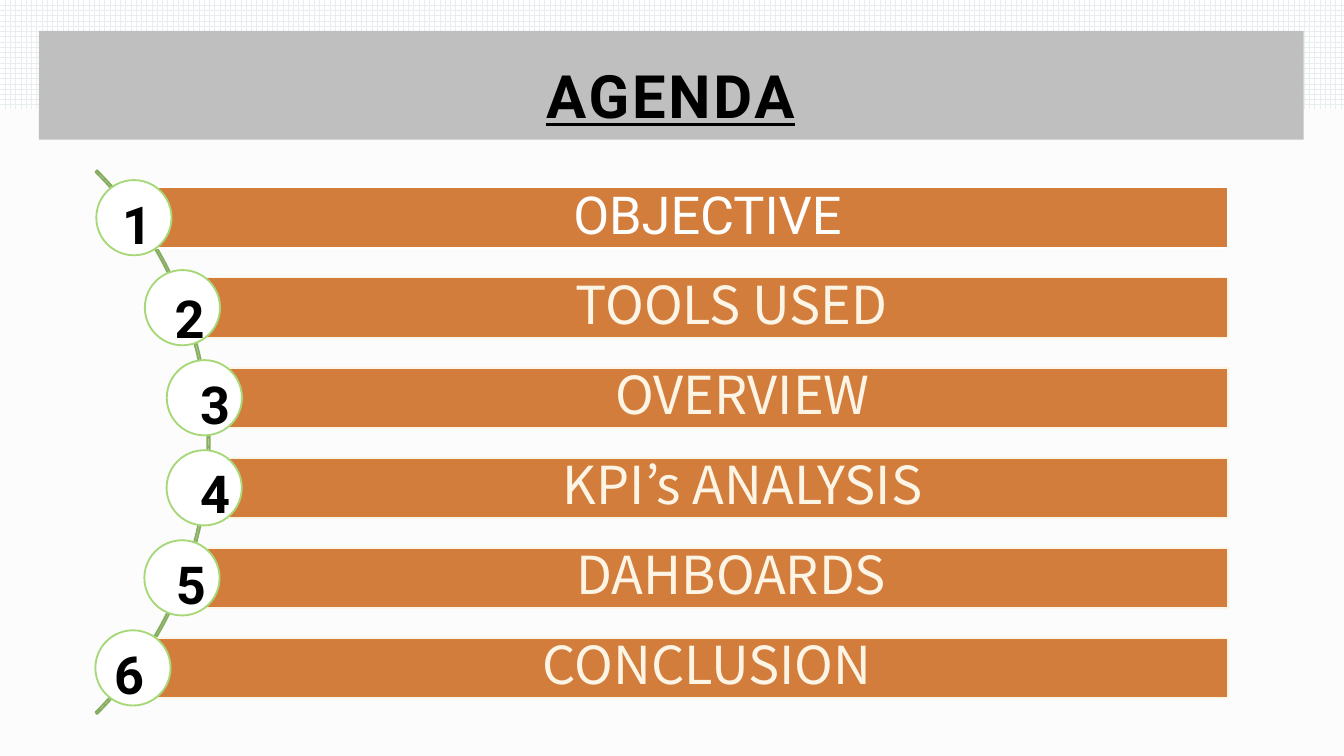
import math

import pptx
import pptx.dml.color
import pptx.enum.dml
import pptx.enum.shapes
import pptx.enum.text
import pptx.util

WIDTH = 10
HEIGHT = WIDTH * 9 / 16
COLOURS = {
    "background": "FCFCFC", "grid": "E8EEF0", "white": "FFFFFF",
    "banner": "BFBFBF", "black": "000000", "arc": "86AD60",
    "bar": "D37D3D", "cream": "FCF5E5", "ring": "A7D878",
}
LATIN, CJK = "Roboto", "Noto Sans CJK JP"
SHAPES = pptx.enum.shapes.MSO_SHAPE

# Rows of the list: evenly spaced, each starting on a circle round the arc centre
FIRST_ROW, LAST_ROW = 1.62, 4.97
BAR_HEIGHT, BAR_RIGHT, CIRCLE = 0.45, 9.14, 0.56
ARC_X, ARC_Y, ARC_RADIUS, ROW_RADIUS = -1.3, 3.29, 2.86, 2.84

# Label, font, colour, then left, top and width of the number's box
ITEMS = [
    ("OBJECTIVE", LATIN, "white", 0.81, 1.38, 0.28),
    ("TOOLS USED", CJK, "cream", 1.2, 2.08, 0.28),
    ("OVERVIEW", CJK, "cream", 1.39, 2.72, 0.28),
    ("KPI’s ANALYSIS", CJK, "cream", 1.39, 3.38, 0.28),
    ("DAHBOARDS", CJK, "cream", 1.21, 4.06, 0.28),
    ("CONCLUSION", CJK, "cream", 0.75, 4.73, 0.39),
]
ROW_STEP = (LAST_ROW - FIRST_ROW) / (len(ITEMS) - 1)


def colour(name):
    return pptx.dml.color.RGBColor.from_string(COLOURS[name])


def inches(*lengths):
    return [pptx.util.Inches(length) for length in lengths]


def add_shape(slide, kind, box, fill=None, line=None):
    shape = slide.shapes.add_shape(kind, *inches(*box))
    shape.shadow.inherit = False
    if fill:
        shape.fill.solid()
        shape.fill.fore_color.rgb = colour(fill)
    else:
        shape.fill.background()
    if line:
        shape.line.color.rgb = colour(line)
        shape.line.width = pptx.util.Pt(1)
    else:
        shape.line.fill.background()
    return shape


def set_text(shape, text, size, font_name, font_colour, bold=False):
    """Write one centred line and return its run."""
    frame = shape.text_frame
    frame.word_wrap = True
    frame.text = text
    paragraph = frame.paragraphs[0]
    paragraph.alignment = pptx.enum.text.PP_ALIGN.CENTER
    run = paragraph.runs[0]
    run.font.size = pptx.util.Pt(size)
    run.font.name = font_name
    run.font.bold = bold
    run.font.color.rgb = colour(font_colour)
    return run


def add_header(slide):
    # Grid strip behind the banner
    strip = add_shape(slide, SHAPES.RECTANGLE, (0, 0, WIDTH, 0.81))
    strip.fill.patterned()
    strip.fill.pattern = pptx.enum.dml.MSO_PATTERN.LARGE_GRID
    strip.fill.fore_color.rgb = colour("grid")
    strip.fill.back_color.rgb = colour("white")
    add_shape(slide, SHAPES.RECTANGLE, (0.29, 0.23, 9.41, 0.81), "banner")
    # Title
    title = slide.shapes.add_textbox(*inches(0.52, 0.4, 8.94, 0.48))
    title.text_frame.margin_top = pptx.util.Inches(0.04)
    run = set_text(title, "AGENDA", 32, LATIN, "black", bold=True)
    run.font.underline = True
    run.font._element.set("spc", "150")


def add_arc(slide):
    box = (ARC_X - ARC_RADIUS, ARC_Y - ARC_RADIUS, 2 * ARC_RADIUS, 2 * ARC_RADIUS)
    arc = add_shape(slide, SHAPES.BLOCK_ARC, box, line="arc")
    for index, value in enumerate((189, 27, 0.003)):
        arc.adjustments[index] = value


def add_item(slide, row, label, font_name, font_colour):
    middle = FIRST_ROW + row * ROW_STEP
    left = ARC_X + math.sqrt(ROW_RADIUS ** 2 - (middle - ARC_Y) ** 2)
    # Bar with its label
    bar = add_shape(slide, SHAPES.RECTANGLE,
                    (left, middle - BAR_HEIGHT / 2, BAR_RIGHT - left, BAR_HEIGHT),
                    "bar", font_colour)
    set_text(bar, label, 28, font_name, font_colour)
    frame = bar.text_frame
    frame.vertical_anchor = pptx.enum.text.MSO_ANCHOR.MIDDLE
    frame.margin_left, frame.margin_right, frame.margin_top, frame.margin_bottom = \
        inches(0.47, 0.08, 0.08, 0.08)
    frame.paragraphs[0].line_spacing = 0.9
    # Circle at the bar's start
    add_shape(slide, SHAPES.OVAL,
              (left - CIRCLE / 2, middle - CIRCLE / 2, CIRCLE, CIRCLE),
              "white", "ring")


def add_number(slide, number, left, top, width):
    box = slide.shapes.add_textbox(*inches(left, top, width, 0.43))
    set_text(box, str(number), 28, LATIN, "black", bold=True)


def main():
    presentation = pptx.Presentation()
    presentation.slide_width, presentation.slide_height = inches(WIDTH, HEIGHT)
    slide = presentation.slides.add_slide(presentation.slide_layouts[6])
    slide.background.fill.solid()
    slide.background.fill.fore_color.rgb = colour("background")

    add_header(slide)
    add_arc(slide)
    for row, (label, font_name, font_colour, *number_box) in enumerate(ITEMS):
        add_item(slide, row, label, font_name, font_colour)
        add_number(slide, row + 1, *number_box)

    presentation.save("out.pptx")


if __name__ == "__main__":
    main()
